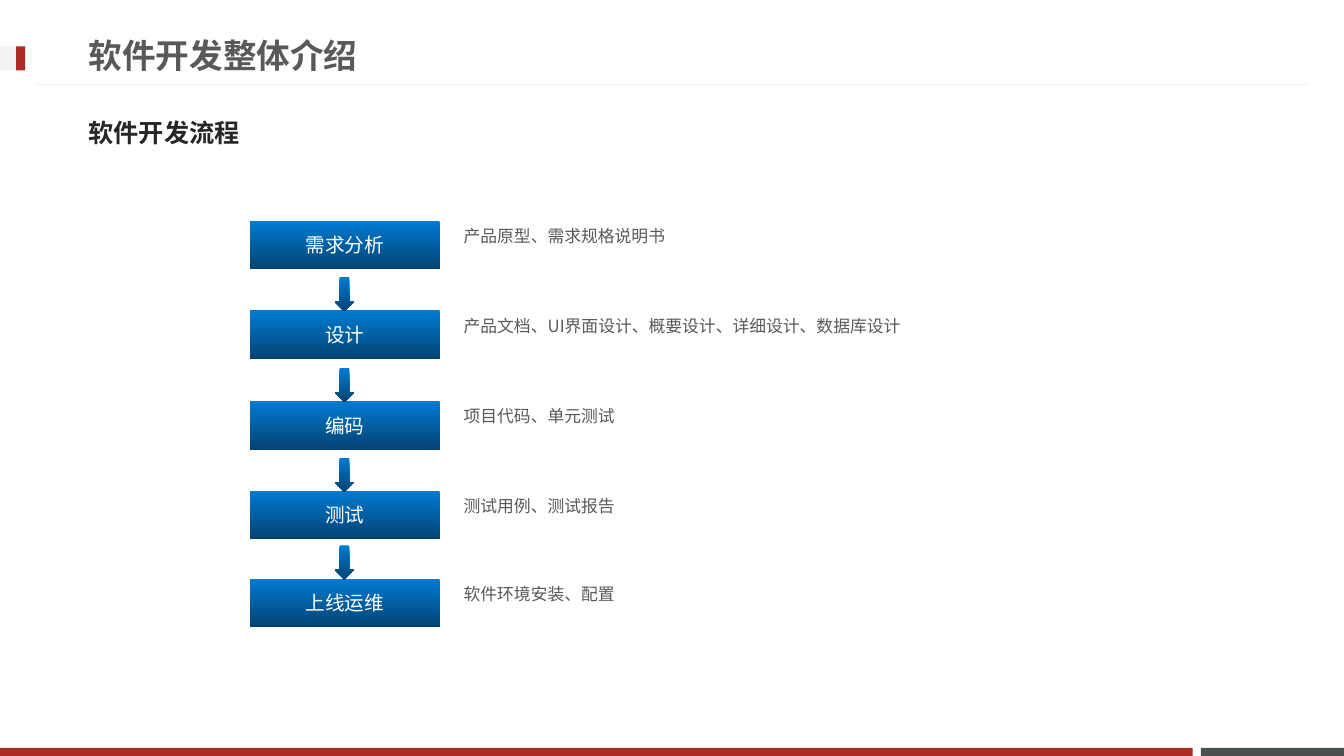
from lxml import etree
from pptx import Presentation
from pptx.dml.color import RGBColor
from pptx.enum.shapes import MSO_CONNECTOR, MSO_SHAPE as Shape
from pptx.enum.text import MSO_ANCHOR as Anchor, PP_ALIGN as Align
from pptx.oxml.ns import qn
from pptx.util import Pt

PX = 9144  # 100 px to the inch
FONT = "Noto Sans CJK JP"
RED, PALE, GREY, SLATE = "AD2B26", "F2F2F2", "595959", "49504F"
BLUE_TOP, BLUE_BOTTOM = "007BD3", "034373"
color = RGBColor.from_string


def add_block(kind, box, *fills):
    """Shape with a plain fill, or a vertical gradient for two colours."""
    block = slide.shapes.add_shape(kind, *(v * PX for v in box))
    block.shadow.inherit = False
    block.line.fill.background()
    if len(fills) == 1:
        block.fill.solid()
        block.fill.fore_color.rgb = color(fills[0])
    else:
        block.fill.gradient()
        block.fill.gradient_angle = 270
        for stop, shade in zip(block.fill.gradient_stops, fills):
            stop.color.rgb = color(shade)
    return block


def write(holder, words, size, shade, bold=False, align=Align.LEFT, anchor=Anchor.MIDDLE):
    frame = holder.text_frame
    frame.word_wrap = True
    frame.vertical_anchor = anchor
    paragraph = frame.paragraphs[0]
    paragraph.alignment = align
    run = paragraph.add_run()
    run.text = words
    for key, value in {"size": Pt(size), "bold": bold, "name": FONT}.items():
        setattr(run.font, key, value)
    run.font.color.rgb = color(shade)
    etree.SubElement(run._r.get_or_add_rPr(), qn("a:ea"), typeface=FONT)


deck = Presentation()
deck.slide_width, deck.slide_height = 1333 * PX, 750 * PX
slide = deck.slides.add_slide(deck.slide_layouts[5])

# Footer bars and title marker
for box, shade in [
    ((1191, 742, 142, 8), SLATE),
    ((0, 742, 1183, 8), RED),
    ((0, 46, 25, 24), PALE),
    ((16, 46, 9, 24), RED),
]:
    add_block(Shape.RECTANGLE, box, shade)

# Rule under the title
rule = slide.shapes.add_connector(
    MSO_CONNECTOR.STRAIGHT, 1298 * PX, 84 * PX, 35 * PX, 84 * PX)
rule.line.color.rgb = color(PALE)
rule.line.width = Pt(0.75)
etree.SubElement(rule._element.spPr, qn("a:effectLst"))

# Title and subtitle
title = slide.shapes.title
for side, value in {"left": 78, "top": 26, "width": 959, "height": 57}.items():
    setattr(title, side, value * PX)
write(title, "软件开发整体介绍", 24, GREY, bold=True)
subtitle = slide.shapes.add_textbox(78 * PX, 103 * PX, 1170 * PX, 57 * PX)
write(subtitle, "软件开发流程", 18, "262626", bold=True)

# Process steps, each with its deliverables and an arrow from the step before
steps = [
    (219, "需求分析", "产品原型、需求规格说明书"),
    (308, "设计", "产品文档、UI界面设计、概要设计、详细设计、数据库设计"),
    (398, "编码", "项目代码、单元测试"),
    (487, "测试", "测试用例、测试报告"),
    (574, "上线运维", "软件环境安装、配置"),
]
for index, (top, step, deliverables) in enumerate(steps):
    stage = add_block(Shape.RECTANGLE, (248, top, 188, 48), BLUE_TOP, BLUE_BOTTOM)
    write(stage, step, 14, "FFFFFF", align=Align.CENTER)
    if index:
        add_block(Shape.DOWN_ARROW, (332, top - 33, 19, 34), BLUE_TOP, BLUE_BOTTOM)
    outputs = slide.shapes.add_textbox(450 * PX, top * PX, 622 * PX, 30 * PX)
    write(outputs, deliverables, 12, GREY, anchor=Anchor.TOP)

deck.save("out.pptx")
